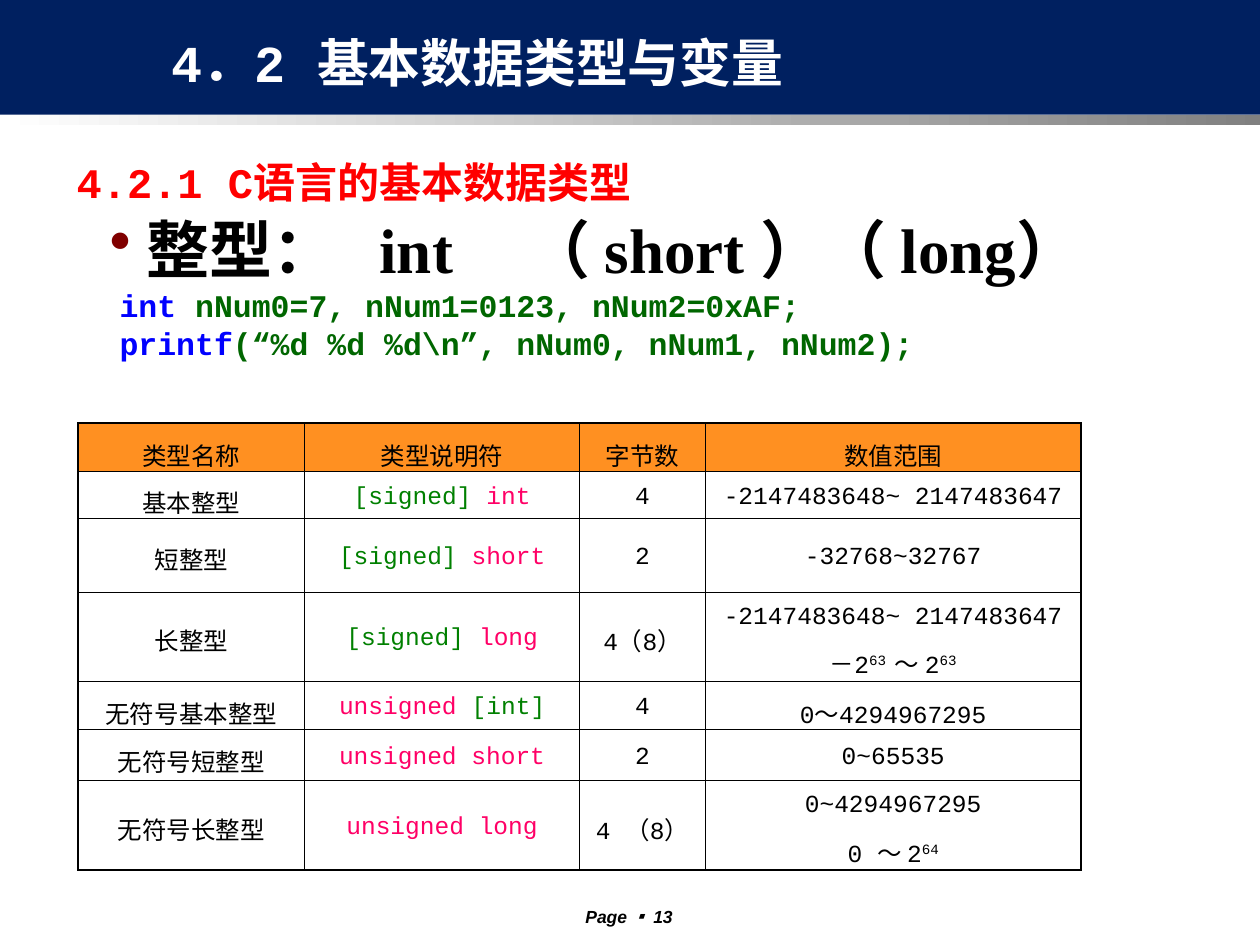
from dataclasses import dataclass

from lxml.etree import SubElement
from pptx import Presentation
from pptx.dml.color import RGBColor
from pptx.enum.shapes import MSO_SHAPE as Shape
from pptx.enum.text import MSO_ANCHOR as Anchor, MSO_AUTO_SIZE as AutoSize, PP_ALIGN as Align
from pptx.oxml.ns import qn
from pptx.util import Pt


@dataclass(frozen=True)
class Theme:
    """Colours, fonts and type sizes of the slide."""
    navy: str = "002060"
    white: str = "FFFFFF"
    grey: str = "808080"
    black: str = "000000"
    red: str = "FF0000"
    maroon: str = "800000"
    blue: str = "0000FF"
    code_green: str = "006600"
    optional: str = "008000"
    keyword: str = "FF0066"
    header: str = "FF9021"
    mono: str = "Courier New"
    serif: str = "Times New Roman"
    sans: str = "Arial"
    symbol: str = "Noto Sans CJK JP"
    title: float = 29.6
    heading: float = 24
    bullet: float = 36
    code: float = 18
    cell: float = 14
    footer: float = 10


THEME = Theme()
HEADERS = ["类型名称", "类型说明符", "字节数", "数值范围"]
SIGNED = ("[signed] ", THEME.optional)
TYPES = [
    ("基本整型", [SIGNED, ("int", THEME.keyword)], "4", [["-2147483648~ 2147483647"]]),
    ("短整型", [SIGNED, ("short", THEME.keyword)], "2", [["-32768~32767"]]),
    ("长整型", [SIGNED, ("long", THEME.keyword)], "4（8）",
     [["-2147483648~ 2147483647"], ["－2", "63 ", "～ 2", "63"]]),
    ("无符号基本整型", [("unsigned", THEME.keyword), (" [int]", THEME.optional)], "4",
     [["0～4294967295"]]),
    ("无符号短整型", [("unsigned short", THEME.keyword)], "2", [["0~65535"]]),
    ("无符号长整型", [("unsigned long", THEME.keyword)], "4 （8）",
     [["0~4294967295"], ["0 ～ 2", "64"]]),
]
COLUMNS = [129.6, 157, 72, 214.6]
ROWS = [27.4, 27.4, 41.8, 43.9, 27.4, 29.5, 43.9]


def rgb(value):
    """Turn a hex string into a colour."""
    return RGBColor.from_string(value)


def set_font(font, name, size, color=None, bold=False):
    """Set the typeface, size, weight and optional colour."""
    font.name, font.size, font.bold = name, Pt(size), bold
    if color:
        font.color.rgb = rgb(color)


def add_spans(para, spans):
    """Add coloured runs to a paragraph."""
    for text, color in spans:
        span = para.add_run()
        span.text = text
        span.font.color.rgb = rgb(color)


def add_frame(page, box):
    """Add a wrapping text box and return its text frame."""
    frame = page.shapes.add_textbox(*map(Pt, box)).text_frame
    frame.word_wrap = True
    return frame


def add_banner(page, box):
    """Draw the navy band with a fading strip below it."""
    left, top, width, height = box
    strip = 6
    band = page.shapes.add_shape(Shape.RECTANGLE, *map(Pt, (left, top, width, height - strip)))
    band.fill.solid()
    band.fill.fore_color.rgb = rgb(THEME.navy)
    fade = page.shapes.add_shape(
        Shape.RECTANGLE, *map(Pt, (left, top + height - strip, width, strip)))
    fade.fill.gradient()
    fade.fill.gradient_angle = 0
    for stop, position, color in zip(fade.fill.gradient_stops, (0, 1), (THEME.white, THEME.grey)):
        stop.position = position
        stop.color.rgb = rgb(color)
    for shape in (band, fade):
        shape.shadow.inherit = False
        shape.line.fill.background()


def place_title(page, box):
    """Move the title placeholder onto the banner and format it."""
    title = page.shapes.title
    title.left, title.top, title.width, title.height = map(Pt, box)
    title.element.getparent().append(title.element)
    frame = title.text_frame
    frame.text = "4．2 基本数据类型与变量"
    frame.auto_size = AutoSize.NONE
    frame.vertical_anchor = Anchor.MIDDLE
    para = frame.paragraphs[0]
    para.alignment, para.line_spacing = Align.CENTER, 0.9
    para.space_before, para.space_after = Pt(0), Pt(4)
    set_font(para.font, THEME.mono, THEME.title, THEME.white, True)


def add_heading(page, box):
    """Write the red section heading."""
    para = add_frame(page, box).paragraphs[0]
    para.text = "4.2.1 C语言的基本数据类型"
    para.line_spacing = 1.1
    set_font(para.font, THEME.mono, THEME.heading, THEME.red, True)


def add_bullet(para, margin, hang, stops):
    """Give a paragraph a maroon bullet, a hanging indent and tab stops."""
    props = para._p.get_or_add_pPr()
    props.set("marL", str(Pt(margin)))
    props.set("indent", str(-Pt(hang)))
    SubElement(SubElement(props, qn("a:buClr")), qn("a:srgbClr"), val=THEME.maroon)
    SubElement(props, qn("a:buChar"), char="•")
    tabs = SubElement(props, qn("a:tabLst"))
    for stop in stops:
        SubElement(tabs, qn("a:tab"), pos=str(Pt(stop)), algn="l")


def add_example(page, box):
    """Write the integer bullet and the two lines of code below it."""
    frame = add_frame(page, box)
    para = frame.paragraphs[0]
    para.text = "整型：\tint\t（ short ）（ long）"
    add_bullet(para, 51.4, 21, (184.6, 269))
    set_font(para.font, THEME.serif, THEME.bullet, THEME.black, True)
    for word, rest in (("int", " nNum0=7, nNum1=0123, nNum2=0xAF;"),
                       ("printf", "(“%d %d %d\\n”, nNum0, nNum1, nNum2);")):
        para = frame.add_paragraph()
        para.level = 1
        para._p.get_or_add_pPr().set("marL", str(Pt(36)))
        set_font(para.font, THEME.mono, THEME.code, bold=True)
        add_spans(para, [(word, THEME.blue), (rest, THEME.code_green)])


def set_borders(cell, widths):
    """Draw the left, right, top and bottom borders of a cell."""
    props = cell._tc.get_or_add_tcPr()
    for index, (side, width) in enumerate(zip("LRTB", widths)):
        line = SubElement(props, qn(f"a:ln{side}"), w=str(Pt(width)))
        fill = SubElement(line, qn("a:solidFill"))
        SubElement(fill, qn("a:srgbClr"), val=THEME.black)
        props.insert(index, line)


def fill_cell(cell, lines):
    """Write centred lines of coloured runs, raising every second run of a power."""
    cell.vertical_anchor = Anchor.MIDDLE
    frame = cell.text_frame
    for index, spans in enumerate(lines):
        para = frame.add_paragraph() if index else frame.paragraphs[0]
        para.alignment, para.line_spacing = Align.CENTER, 1.2
        para.space_before = Pt(3.5 if index else 0)
        set_font(para.font, THEME.mono, THEME.cell)
        add_spans(para, spans)
        if index:
            for power in para.runs[1::2]:
                power.font._element.set("baseline", "30000")


def plain(*texts):
    """Make black runs from texts."""
    return [(text, THEME.black) for text in texts]


def add_type_table(page, box):
    """Build the table of integer types."""
    table = page.shapes.add_table(len(ROWS), len(COLUMNS), *map(Pt, box)).table
    for column, width in zip(table.columns, COLUMNS):
        column.width = Pt(width)
    for row, height in zip(table.rows, ROWS):
        row.height = Pt(height)
    content = [[[plain(text)] for text in HEADERS]]
    for name, specifier, size, ranges in TYPES:
        content.append([[plain(name)], [specifier], [plain(size)],
                        [plain(*texts) for texts in ranges]])
    for r, row in enumerate(content):
        for c, lines in enumerate(row):
            cell = table.cell(r, c)
            fill_cell(cell, lines)
            if r:
                cell.fill.background()
            else:
                cell.fill.solid()
                cell.fill.fore_color.rgb = rgb(THEME.header)
            outer = (c == 0, c == len(COLUMNS) - 1, r == 0, r == len(ROWS) - 1)
            set_borders(cell, [1.08 if edge else 0.45 for edge in outer])


def add_footer(page, box):
    """Write the page number."""
    para = add_frame(page, box).paragraphs[0]
    para.alignment = Align.CENTER
    set_font(para.font, THEME.sans, THEME.footer, THEME.black, True)
    para.font.italic = True
    for text in ("Page ", "▪ ", "13"):
        span = para.add_run()
        span.text = text
        span.font.name = THEME.symbol if text == "▪ " else THEME.sans


def main():
    """Build the slide and save it."""
    deck = Presentation()
    deck.slide_width, deck.slide_height = Pt(720), Pt(540)
    page = deck.slides.add_slide(deck.slide_layouts[5])
    add_banner(page, (0, 0, 723, 71.5))
    add_footer(page, (303, 514, 113, 16))
    add_heading(page, (36.7, 82.8, 386, 39))
    add_example(page, (25.2, 116.6, 672, 118))
    add_type_table(page, (44.6, 241.7, sum(COLUMNS), sum(ROWS)))
    place_title(page, (44.6, 15.1, 457, 45.4))
    deck.save("out.pptx")


if __name__ == "__main__":
    main()
